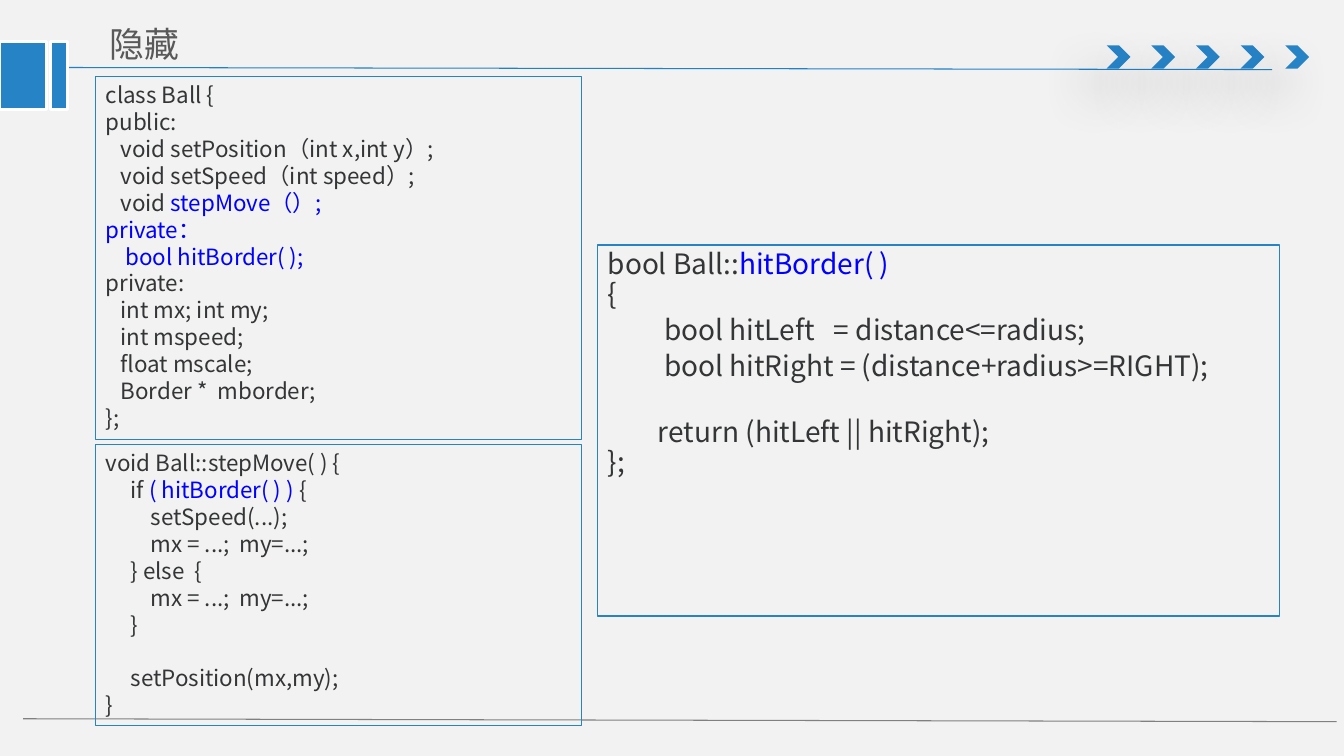
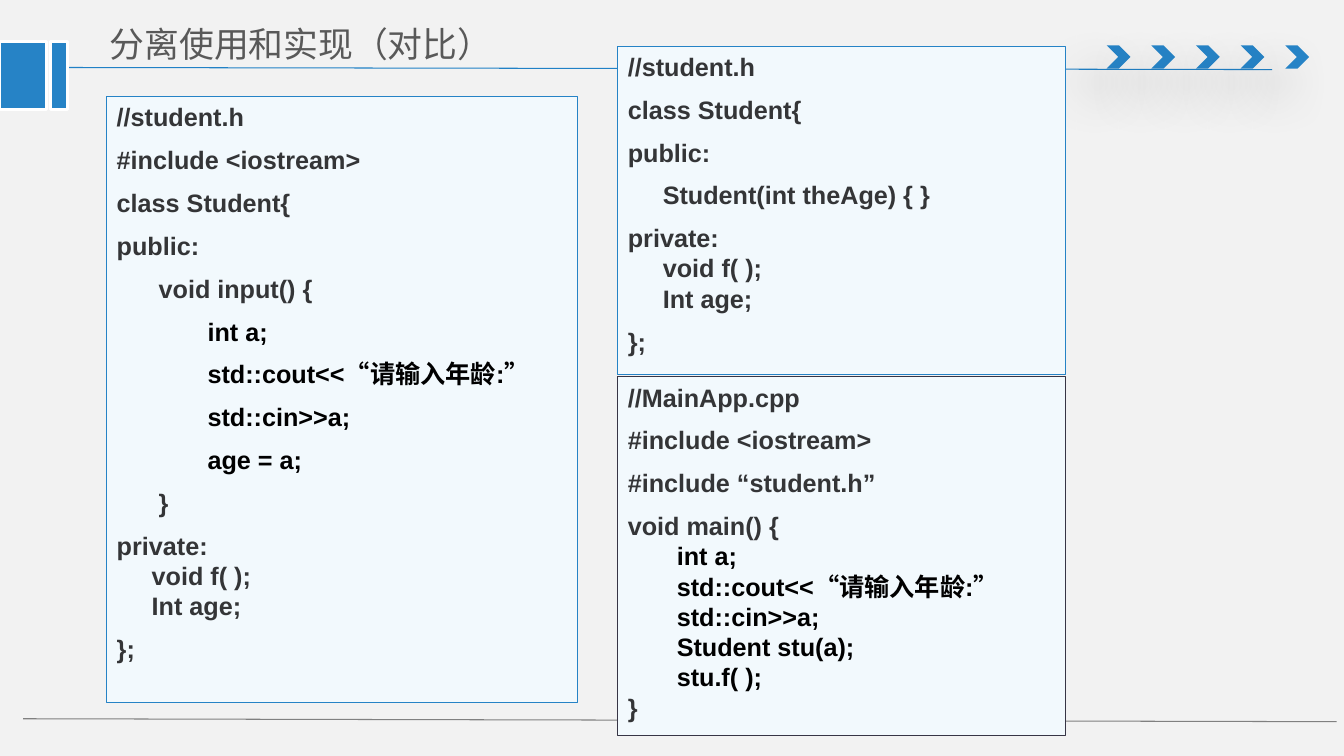
import pptx
import pptx.util
import pptx.dml.color
import pptx.enum.shapes
import pptx.enum.text
import pptx.oxml.ns
from lxml import etree

Pt = pptx.util.Pt
qn = pptx.oxml.ns.qn
KIND = pptx.enum.shapes.MSO_SHAPE
ANCHOR = pptx.enum.text.MSO_ANCHOR
ALIGN = pptx.enum.text.PP_ALIGN

COLORS = {
    "back": "F2F2F2", "blue": "2683C6", "rule": "2181C6", "gray": "808080",
    "white": "FFFFFF", "title": "595959", "code": "343537", "mark": "0000FF",
    "black": "000000", "pale": "F2F9FD", "dark": "373545",
}
CJK = "Noto Sans CJK SC"
MARK = "~"

DECLARE = """class Ball {
public:
   void setPosition（int x,int y）;
   void setSpeed（int speed）;
   void ~stepMove（）;~
~private：~
~    bool hitBorder( );~
private:
   int mx; int my;
   int mspeed;
   float mscale;
   Border *  mborder;
};"""
STEP = """void Ball::stepMove( ) {
     if ~( hitBorder( ) )~ {
         setSpeed(...);
         mx = ...;  my=...;
     } else  {
         mx = ...;  my=...;
     }"""
STEP_END = "     setPosition(mx,my);"
HIT = "bool Ball::~hitBorder( )~"
HIT_TEST = """         bool hitLeft   = distance<=radius;
         bool hitRight = (distance+radius>=RIGHT);"""
HIT_END = "        return (hitLeft || hitRight);"

MIXED = """//student.h
#include <iostream>
class Student{
public:
      void input() {
~             int a;~
~             std::cout<<“请输入年龄:”~
~             std::cin>>a;~
~             age = a;~
      }
private:"""
HEADER = """//student.h
class Student{
public:
     Student(int theAge) { }
private:"""
FIELDS = """     void f( );
     Int age;"""
MAIN = """//MainApp.cpp
#include <iostream>
#include “student.h”
void main() {"""
MAIN_BODY = """~       int a;~
~       std::cout<<“请输入年龄:”~
~       std::cin>>a;~
~       Student stu(a);~
~       stu.f( );~
}"""


def rgb(name):
    return pptx.dml.color.RGBColor.from_string(COLORS[name])


def write(frame, parts, size=16, font=CJK, color="code", accent="mark",
          bold=False, ratio=1, anchor=ANCHOR.TOP):
    """Fill a frame with (space before, lines) parts; MARK toggles the accent."""
    frame.word_wrap = True
    frame.vertical_anchor = anchor
    rows = [(gap, row) for gap, text in parts for row in text.split("\n")]
    for num, (gap, row) in enumerate(rows):
        para = frame.add_paragraph() if num else frame.paragraphs[0]
        para.alignment = ALIGN.LEFT
        para.line_spacing = Pt(round(size * 1.2 * ratio, 2))
        para.space_before = Pt(gap if num else 0)
        for turn, piece in enumerate(row.split(MARK)):
            if not piece:
                continue
            run = para.add_run()
            run.text = piece
            run.font.size = Pt(size)
            run.font.bold = bold
            run.font.name = font
            run.font.color.rgb = rgb(accent if turn % 2 else color)
            east = etree.SubElement(run._r.get_or_add_rPr(), qn("a:ea"))
            east.set("typeface", CJK)


def draw(slide, kind, box, fill=None, line=None, width=0.75):
    shape = slide.shapes.add_shape(kind, *map(Pt, box))
    shape.shadow.inherit = False
    if fill:
        shape.fill.solid()
        shape.fill.fore_color.rgb = rgb(fill)
    else:
        shape.fill.background()
    if line:
        shape.line.color.rgb = rgb(line)
        shape.line.width = Pt(width)
    else:
        shape.line.fill.background()
    return shape


def rule(slide, ends, color):
    line = slide.shapes.add_connector(
        pptx.enum.shapes.MSO_CONNECTOR.STRAIGHT, *map(Pt, ends))
    line.line.color.rgb = rgb(color)
    line.line.width = Pt(0.75)
    etree.SubElement(line.element.spPr, qn("a:effectLst"))


def shade(shape):
    """Give a shape a soft shadow towards the lower left."""
    effects = shape.element.spPr.find(qn("a:effectLst"))
    outer = etree.SubElement(
        effects, qn("a:outerShdw"), blurRad=str(Pt(36)), dist=str(Pt(24)),
        dir=str(130 * 60000), algn="ctr", rotWithShape="0")
    tint = etree.SubElement(outer, qn("a:srgbClr"), val=COLORS["black"])
    etree.SubElement(tint, qn("a:alpha"), val="38000")


def dress(deck, layout):
    """Put the bands, rules and arrows on the layout."""
    deck.slide_master.background.fill.solid()
    deck.slide_master.background.fill.fore_color.rgb = rgb("back")
    slide = deck.slides[0]
    rule(slide, (38, 48.2, 908.6, 49.7), "rule")
    for num in range(5):
        shade(draw(slide, KIND.CHEVRON, (790.5 + 31.9 * num, 32.4, 17, 16.6),
                   "blue"))
    rule(slide, (16.6, 513.4, 954.7, 515.5), "gray")
    for left, width in ((0, 33), (36, 12)):
        draw(slide, KIND.RECTANGLE, (left, 29.5, width, 49), "blue", "white", 2)
    for shape in list(slide.shapes):
        if not shape.is_placeholder:
            layout.shapes.element.append(shape.element)


def head(slide, text):
    title = slide.shapes.title
    title.left, title.top, title.width, title.height = map(
        Pt, (71.3, 10, 333.4, 39.6))
    write(title.text_frame, [(0, text)], size=24.9, color="title",
          anchor=ANCHOR.BOTTOM)


def panel(slide, box, parts, fill=None, line="blue", **style):
    """Draw a framed box of code."""
    shape = draw(slide, KIND.RECTANGLE, box, fill, line)
    write(shape.text_frame, parts, **style)


def hiding(slide):
    head(slide, "隐藏")
    left, width = 68.4, 347
    panel(slide, (427, 175, 486.7, 265),
          [(0, HIT), (0, "{"), (4, HIT_TEST), (25.6, HIT_END), (0, "};")],
          size=20, ratio=0.9)
    panel(slide, (left, 54.7, width, 259.2), [(0, DECLARE)])
    panel(slide, (left, 317.5, width, 201),
          [(0, STEP), (19.2, STEP_END), (0, "}")])


def compare(slide):
    head(slide, "分离使用和实现（对比）")
    style = dict(fill="pale", size=18, font="Arial", bold=True, accent="black")
    gap, left, width = 9, 441.4, 319.7
    close = [(0, FIELDS), (gap, "};")]
    panel(slide, (76.3, 69, 336.2, 432.7), [(gap, MIXED)] + close, **style)
    panel(slide, (left, 33, width, 234.7), [(gap, HEADER)] + close, **style)
    panel(slide, (left, 269.2, width, 256.4), [(gap, MAIN), (0, MAIN_BODY)],
          line="dark", **style)


def main():
    deck = pptx.Presentation()
    deck.slide_width, deck.slide_height = Pt(960), Pt(540)
    layout = deck.slide_layouts[5]
    first, second = [deck.slides.add_slide(layout) for _ in range(2)]
    dress(deck, layout)
    hiding(first)
    compare(second)
    deck.save("out.pptx")


if __name__ == "__main__":
    main()
